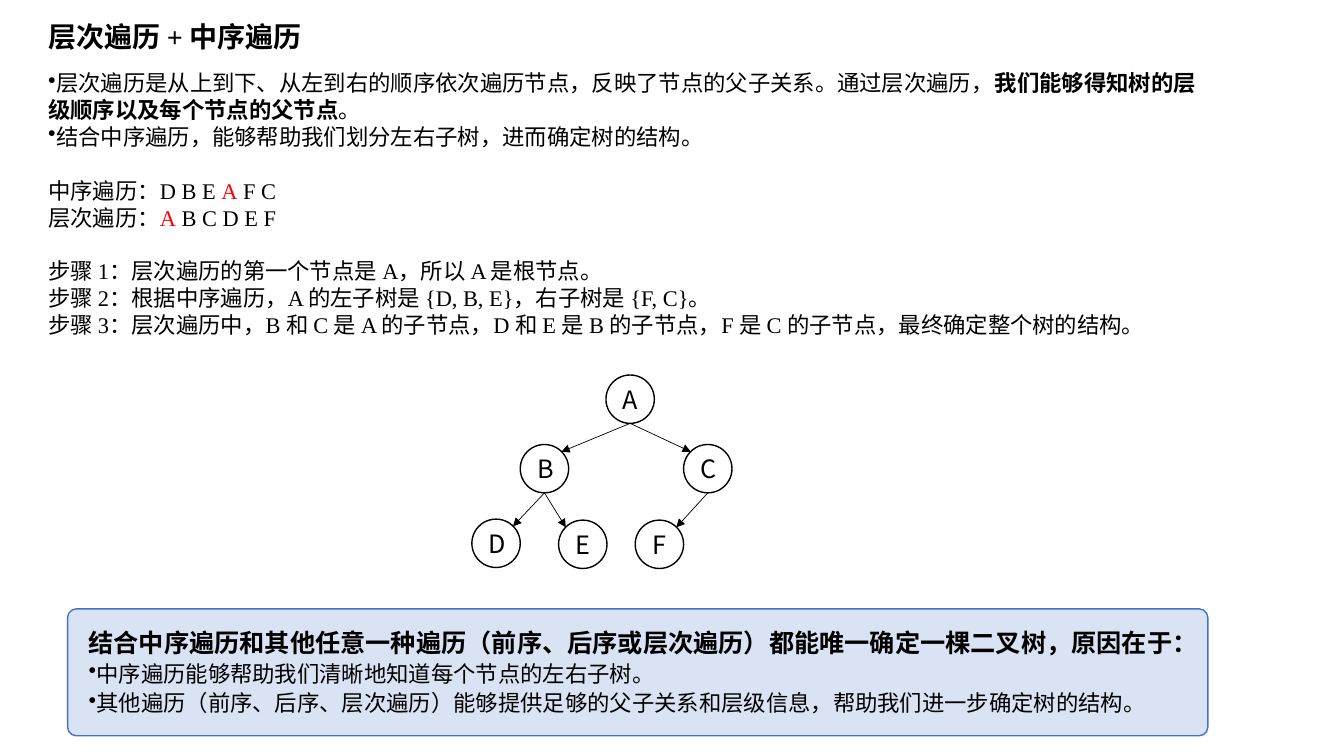
import pptx
import pptx.util
import pptx.dml.color
import pptx.enum.shapes
import pptx.enum.text
import pptx.oxml.ns
from lxml import etree

BLACK = pptx.dml.color.RGBColor(0x00, 0x00, 0x00)
RED = pptx.dml.color.RGBColor(0xFF, 0x00, 0x00)
PALE_BLUE = pptx.dml.color.RGBColor(0xDA, 0xE3, 0xF3)
BLUE = pptx.dml.color.RGBColor(0x44, 0x72, 0xC4)
SERIF = "Times New Roman"
SANS = "Noto Sans CJK SC"
SHAPES = pptx.enum.shapes.MSO_SHAPE
Inches = pptx.util.Inches
Pt = pptx.util.Pt

NODE_SIZE = 0.48
NODES = {  # offset of each node inside the tree's box
    "A": (1.33, 0), "B": (0.48, 0.69), "C": (2.1, 0.69),
    "D": (0, 1.43), "E": (0.86, 1.44), "F": (1.62, 1.44),
}
EDGES = ["AB", "AC", "BD", "BE", "CF"]


def add_child(parent, tag, **attributes):
    return etree.SubElement(parent, pptx.oxml.ns.qn(tag), attributes)


def add_run(paragraph, text, size, font, bold=False, color=BLACK):
    run = paragraph.add_run()
    run.text = text
    run.font.size = Pt(size)
    run.font.name = font
    run.font.bold = bold
    run.font.color.rgb = color


def add_bullet(paragraph):
    add_child(paragraph._p.get_or_add_pPr(), "a:buChar", char="•")


def add_text_frame(slide, box):
    frame = slide.shapes.add_textbox(*map(Inches, box)).text_frame
    frame.word_wrap = True
    frame.auto_size = pptx.enum.text.MSO_AUTO_SIZE.SHAPE_TO_FIT_TEXT
    return frame


def add_explanation(slide, box):
    frame = add_text_frame(slide, box)
    title = frame.paragraphs[0]
    title.space_after = Pt(12)
    add_run(title, "层次遍历 + 中序遍历", 20, SERIF, bold=True)

    # Bulleted description: (text, bold)
    bullets = [
        [("层次遍历是从上到下、从左到右的顺序依次遍历节点，反映了节点的父子关系。通过层次遍历，", False),
         ("我们能够得知树的层级顺序以及每个节点的父节点", True), ("。", False)],
        [("结合中序遍历，能够帮助我们划分左右子树，进而确定树的结构。", False)],
    ]
    for runs in bullets:
        paragraph = frame.add_paragraph()
        add_bullet(paragraph)
        for text, bold in runs:
            add_run(paragraph, text, 16, SERIF, bold=bold)

    # Sequences with the root in red, then the steps
    groups = [
        [[("中序遍历：D B E ", BLACK), ("A", RED), (" F C", BLACK)],
         [("层次遍历：", BLACK), ("A", RED), (" B C D E F", BLACK)]],
        [[("步骤 1：层次遍历的第一个节点是 A，所以 A 是根节点。", BLACK)],
         [("步骤 2：根据中序遍历，A 的左子树是 {D, B, E}，右子树是 {F, C}。", BLACK)],
         [("步骤 3：层次遍历中，B 和 C 是 A 的子节点，D 和 E 是 B 的子节点，"
           "F 是 C 的子节点，最终确定整个树的结构。", BLACK)]],
    ]
    for group in groups:
        for index, runs in enumerate(group):
            paragraph = frame.add_paragraph()
            if index == 0:
                paragraph.space_before = Pt(19.2)
            for text, color in runs:
                add_run(paragraph, text, 16, SERIF, color=color)


def add_node(slide, letter, left, top):
    node = slide.shapes.add_shape(
        SHAPES.OVAL, *map(Inches, (left, top, NODE_SIZE, NODE_SIZE)))
    node.shadow.inherit = False
    node.fill.background()
    node.line.color.rgb = BLACK
    node.line.width = Pt(1)
    frame = node.text_frame
    frame.vertical_anchor = pptx.enum.text.MSO_ANCHOR.MIDDLE
    paragraph = frame.paragraphs[0]
    paragraph.alignment = pptx.enum.text.PP_ALIGN.CENTER
    add_run(paragraph, letter, 18, SANS)


def add_arrow(slide, start, end):
    arrow = slide.shapes.add_connector(
        pptx.enum.shapes.MSO_CONNECTOR.STRAIGHT, *map(Inches, start + end))
    arrow.line.color.rgb = BLACK
    arrow.line.width = Pt(0.5)
    add_child(arrow.line._get_or_add_ln(), "a:tailEnd", type="triangle")
    add_child(arrow._element.spPr, "a:effectLst")


def add_tree(slide, left, top):
    for letter, (x, y) in NODES.items():
        add_node(slide, letter, left + x, top + y)
    # Arrows leave a parent's foot and meet the child's facing shoulder
    for parent, child in EDGES:
        parent_x, parent_y = NODES[parent]
        child_x, child_y = NODES[child]
        shoulder = 0.85 if child_x < parent_x else 0.15
        start = (left + parent_x + NODE_SIZE / 2, top + parent_y + NODE_SIZE)
        end = (left + child_x + shoulder * NODE_SIZE,
               top + child_y + 0.15 * NODE_SIZE)
        add_arrow(slide, start, end)


def add_conclusion(slide, box):
    left, top, width, height = box
    panel = slide.shapes.add_shape(SHAPES.ROUNDED_RECTANGLE, *map(Inches, box))
    panel.adjustments[0] = 0.07
    panel.shadow.inherit = False
    panel.fill.solid()
    panel.fill.fore_color.rgb = PALE_BLUE
    panel.line.color.rgb = BLUE
    panel.line.width = Pt(1)

    frame = add_text_frame(
        slide, (left + 0.11, top + 0.13, width - 0.11, height - 0.27))
    add_run(frame.paragraphs[0],
            "结合中序遍历和其他任意一种遍历（前序、后序或层次遍历）都能唯一确定一棵二叉树，原因在于：",
            18, SANS, bold=True)
    for text in (
            "中序遍历能够帮助我们清晰地知道每个节点的左右子树。",
            "其他遍历（前序、后序、层次遍历）能够提供足够的父子关系和层级信息，帮助我们进一步确定树的结构。"):
        paragraph = frame.add_paragraph()
        paragraph.line_spacing = 1.1
        add_bullet(paragraph)
        add_run(paragraph, text, 16, SANS)


def main():
    presentation = pptx.Presentation()
    presentation.slide_width = Inches(13.33)
    presentation.slide_height = Inches(7.5)
    slide = presentation.slides.add_slide(presentation.slide_layouts[6])
    add_explanation(slide, (0.38, 0.14, 11.6, 3.35))
    add_tree(slide, 4.68, 3.72)
    add_conclusion(slide, (0.67, 6.04, 11.31, 1.26))
    presentation.save("out.pptx")


if __name__ == "__main__":
    main()
